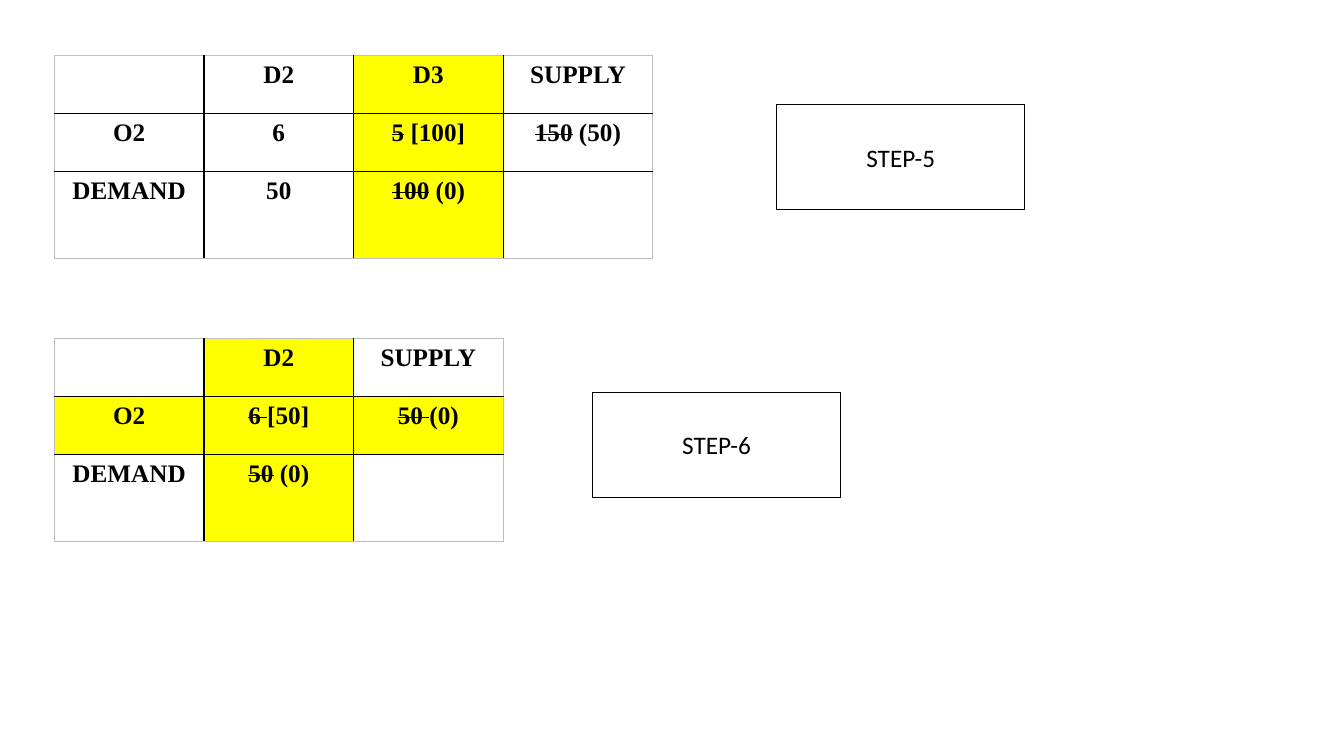
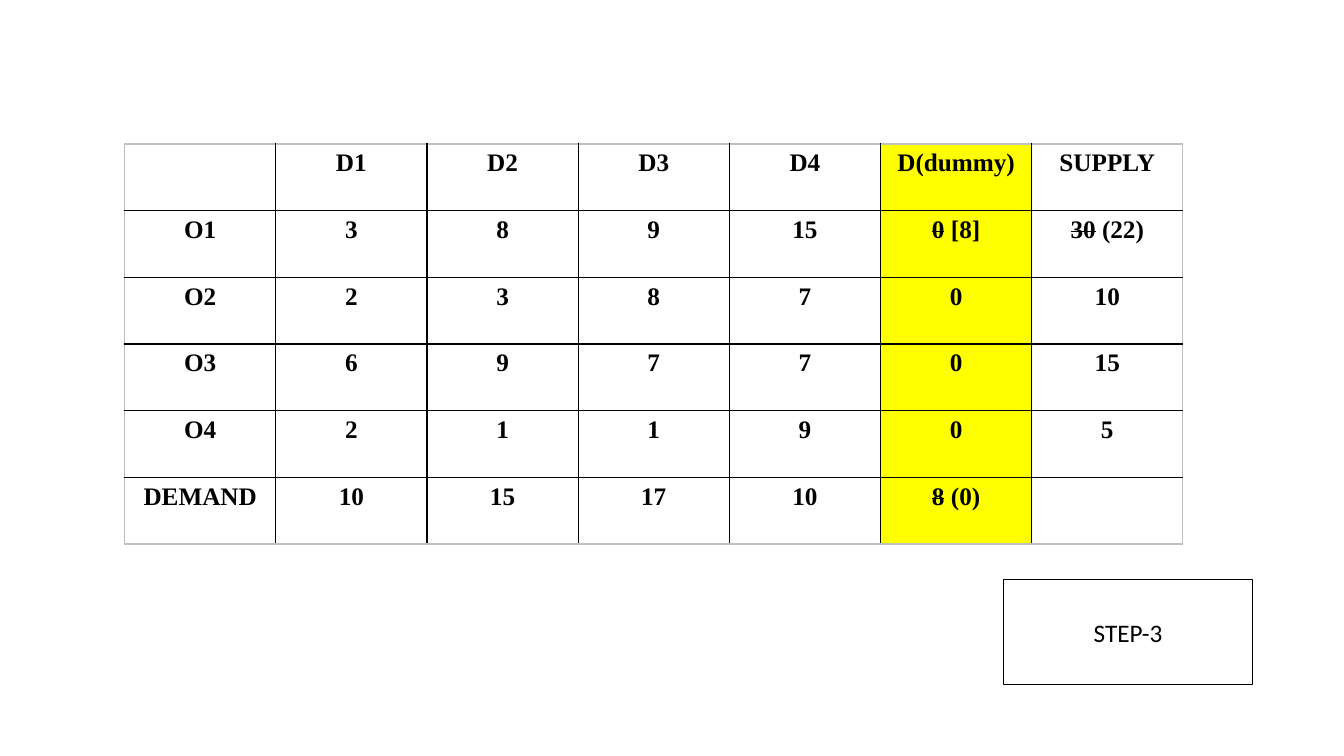
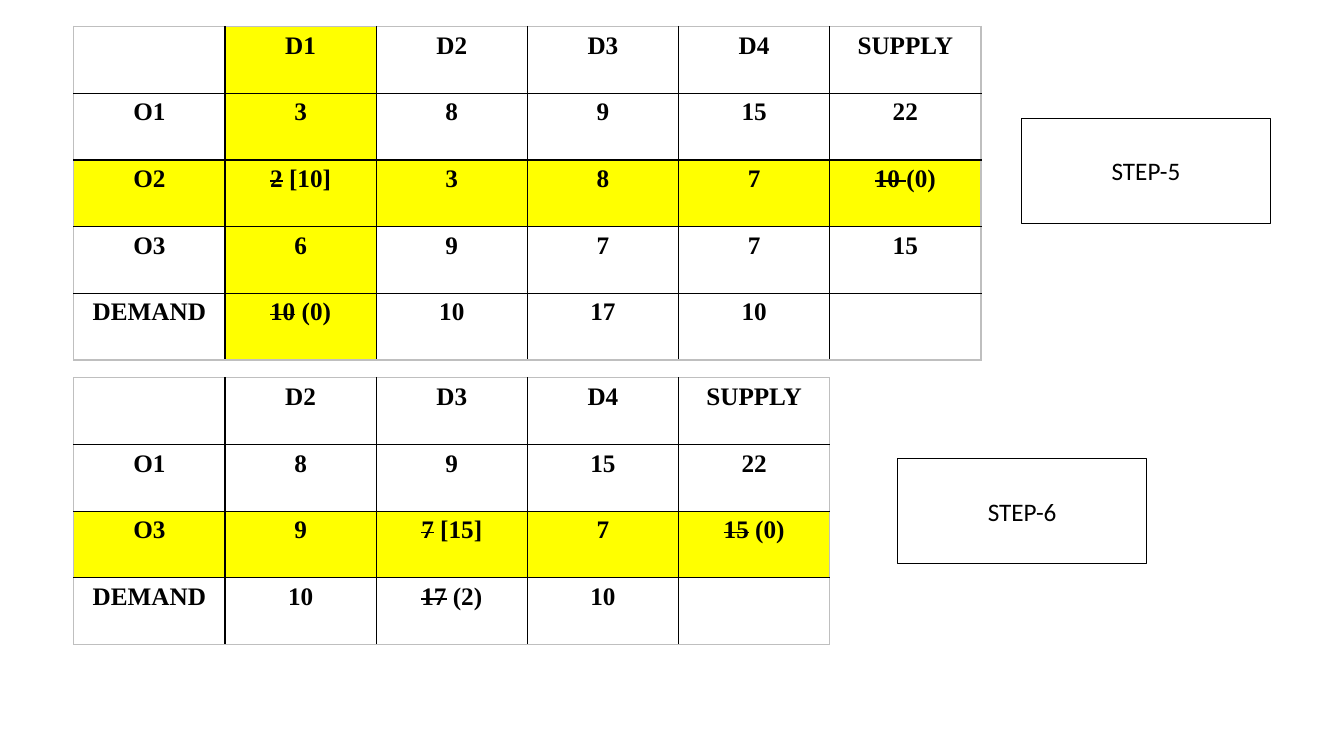
from lxml import etree
from pptx import Presentation
from pptx.dml.color import RGBColor
from pptx.enum.shapes import MSO_SHAPE
from pptx.enum.text import MSO_ANCHOR, PP_ALIGN
from pptx.oxml.ns import qn
from pptx.util import Cm, Pt

RECTANGLE = MSO_SHAPE.RECTANGLE
CENTER = PP_ALIGN.CENTER
MIDDLE = MSO_ANCHOR.MIDDLE

COLORS = {"ink": "000000", "frame": "BFBFBF", "highlight": "FFFF00"}
TABLE_FONT, STEP_FONT = "Times New Roman", "Calibri"
FONT_SIZE = Pt(18)
STEP_SIZE = (6.26, 2.65)
BLANK_LAYOUT = 6

# Content: lengths in cm, ~text~ is struck out, cells are separated by |
SLIDES = [
    [
        {
            "at": (1.37, 1.4), "column": 3.77, "rows": (1.46, 1.46, 2.19),
            "cells": ["|D2|D3|SUPPLY",
                      "O2|6|~5~ [100]|~150~ (50)",
                      "DEMAND|50|~100~ (0)|"],
            "marked_column": 2, "marked_row": None,
            "step": "STEP-5", "step_at": (19.57, 2.64),
        },
        {
            "at": (1.37, 8.53), "column": 3.77, "rows": (1.46, 1.46, 2.19),
            "cells": ["|D2|SUPPLY",
                      "O2|~6 ~[50]|~50 ~(0)",
                      "DEMAND|~50~ (0)|"],
            "marked_column": 1, "marked_row": 1,
            "step": "STEP-6", "step_at": (14.93, 9.88),
        },
    ],
    [
        {
            "at": (3.14, 3.63), "column": 3.81, "rows": (1.68,) * 6,
            "cells": ["|D1|D2|D3|D4|D(dummy)|SUPPLY",
                      "O1|3|8|9|15|~0~ [8]|~30~ (22)",
                      "O2|2|3|8|7|0|10",
                      "O3|6|9|7|7|0|15",
                      "O4|2|1|1|9|0|5",
                      "DEMAND|10|15|17|10|~8~ (0)|"],
            "marked_column": 5, "marked_row": None,
            "step": "STEP-3", "step_at": (25.3, 14.61),
        },
    ],
    [
        {
            "at": (1.86, 0.67), "column": 3.81, "rows": (1.68,) * 5,
            "cells": ["|D1|D2|D3|D4|SUPPLY",
                      "O1|3|8|9|15|22",
                      "O2|~2~ [10]|3|8|7|~10 ~(0)",
                      "O3|6|9|7|7|15",
                      "DEMAND|~10~ (0)|10|17|10|"],
            "marked_column": 1, "marked_row": 2,
            "step": "STEP-5", "step_at": (25.75, 2.98),
        },
        {
            "at": (1.86, 9.52), "column": 3.81, "rows": (1.68,) * 4,
            "cells": ["|D2|D3|D4|SUPPLY",
                      "O1|8|9|15|22",
                      "O3|9|~7~ [15]|7|~15~ (0)",
                      "DEMAND|10|~17~ (2)|10|"],
            "marked_column": None, "marked_row": 2,
            "step": "STEP-6", "step_at": (22.63, 11.56),
        },
    ],
]


def rgb(name):
    return RGBColor.from_string(COLORS[name])


def style_font(font, name, bold):
    font.name = name
    font.size = FONT_SIZE
    font.bold = bold
    font.color.rgb = rgb("ink")


def draw_borders(cell, outer_sides):
    """Black inner rules, grey frame on the sides at the table's edge."""
    properties = cell._tc.get_or_add_tcPr()
    for side in "LRTB":
        color = "frame" if side in outer_sides else "ink"
        line = etree.SubElement(properties, qn(f"a:ln{side}"), w=str(Pt(1)))
        fill = etree.SubElement(line, qn("a:solidFill"))
        etree.SubElement(fill, qn("a:srgbClr"), val=COLORS[color])


def write_cell(cell, text):
    cell.margin_left = cell.margin_right = Cm(0.28)
    cell.margin_top = cell.margin_bottom = Cm(0.13)
    paragraph = cell.text_frame.paragraphs[0]
    paragraph.alignment = CENTER
    for index, part in enumerate(text.split("~")):
        if not part:
            continue
        run = paragraph.add_run()
        run.text = part
        style_font(run.font, TABLE_FONT, True)
        if index % 2:
            run._r.get_or_add_rPr().set("strike", "sngStrike")


def add_cost_table(slide, stage):
    rows = [line.split("|") for line in stage["cells"]]
    last_row, last_column = len(rows) - 1, len(rows[0]) - 1
    left, top = stage["at"]
    table = slide.shapes.add_table(
        len(rows), len(rows[0]), Cm(left), Cm(top),
        Cm(stage["column"] * len(rows[0])), Cm(sum(stage["rows"]))).table
    table.first_row = table.horz_banding = False
    for column in table.columns:
        column.width = Cm(stage["column"])
    for row, height in zip(table.rows, stage["rows"]):
        row.height = Cm(height)

    for r, texts in enumerate(rows):
        for c, text in enumerate(texts):
            cell = table.cell(r, c)
            write_cell(cell, text)
            edges = {"L": c == 0, "R": c == last_column,
                     "T": r == 0, "B": r == last_row}
            draw_borders(cell, [side for side, at_edge in edges.items() if at_edge])
            if r == stage["marked_row"] or c == stage["marked_column"]:
                cell.fill.solid()
                cell.fill.fore_color.rgb = rgb("highlight")
            else:
                cell.fill.background()


def add_step_box(slide, stage):
    box = slide.shapes.add_shape(
        RECTANGLE, *(Cm(v) for v in stage["step_at"] + STEP_SIZE))
    box.shadow.inherit = False
    box.fill.background()
    box.line.color.rgb = rgb("ink")
    box.line.width = Pt(0.75)
    frame = box.text_frame
    frame.text = stage["step"]
    frame.vertical_anchor = MIDDLE
    frame.paragraphs[0].alignment = CENTER
    style_font(frame.paragraphs[0].runs[0].font, STEP_FONT, False)


def main():
    deck = Presentation()
    deck.slide_width, deck.slide_height = Cm(33.87), Cm(19.05)
    for stages in SLIDES:
        slide = deck.slides.add_slide(deck.slide_layouts[BLANK_LAYOUT])
        for stage in stages:
            add_cost_table(slide, stage)
        for stage in stages:
            add_step_box(slide, stage)
    deck.save("out.pptx")


if __name__ == "__main__":
    main()
